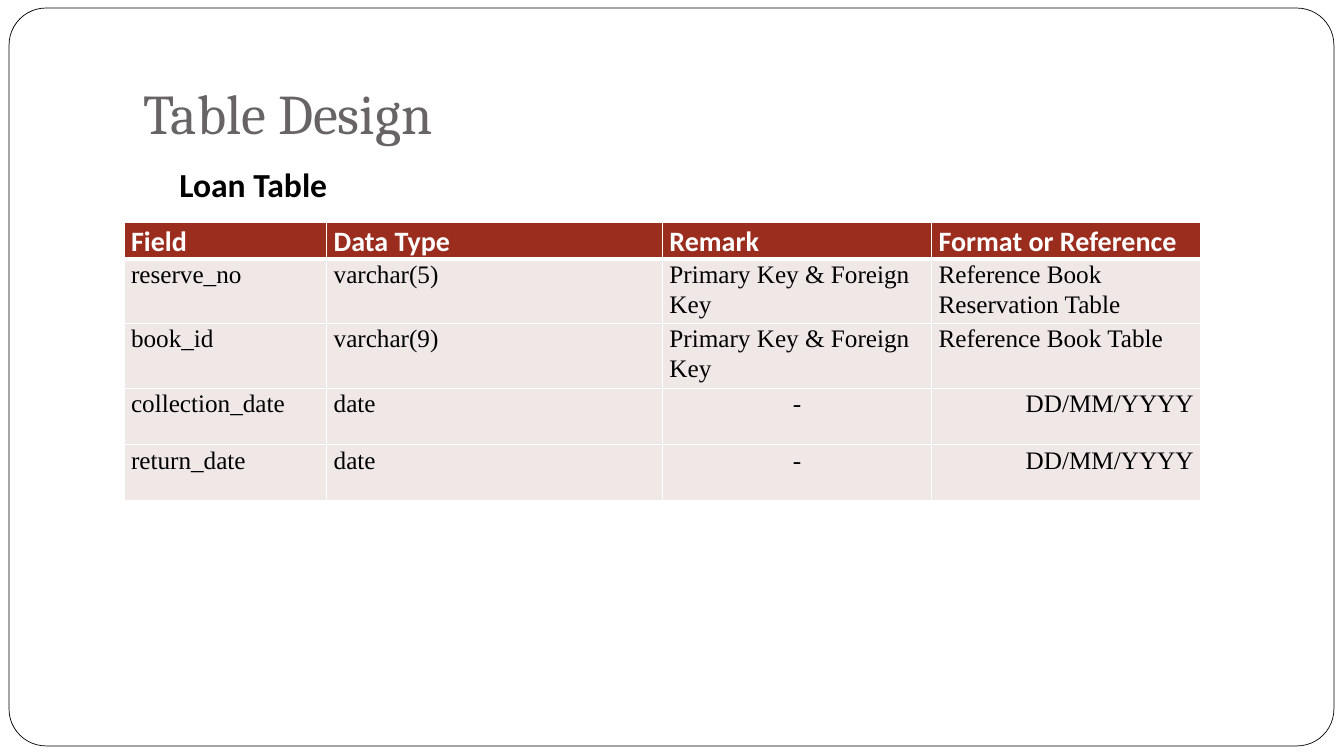
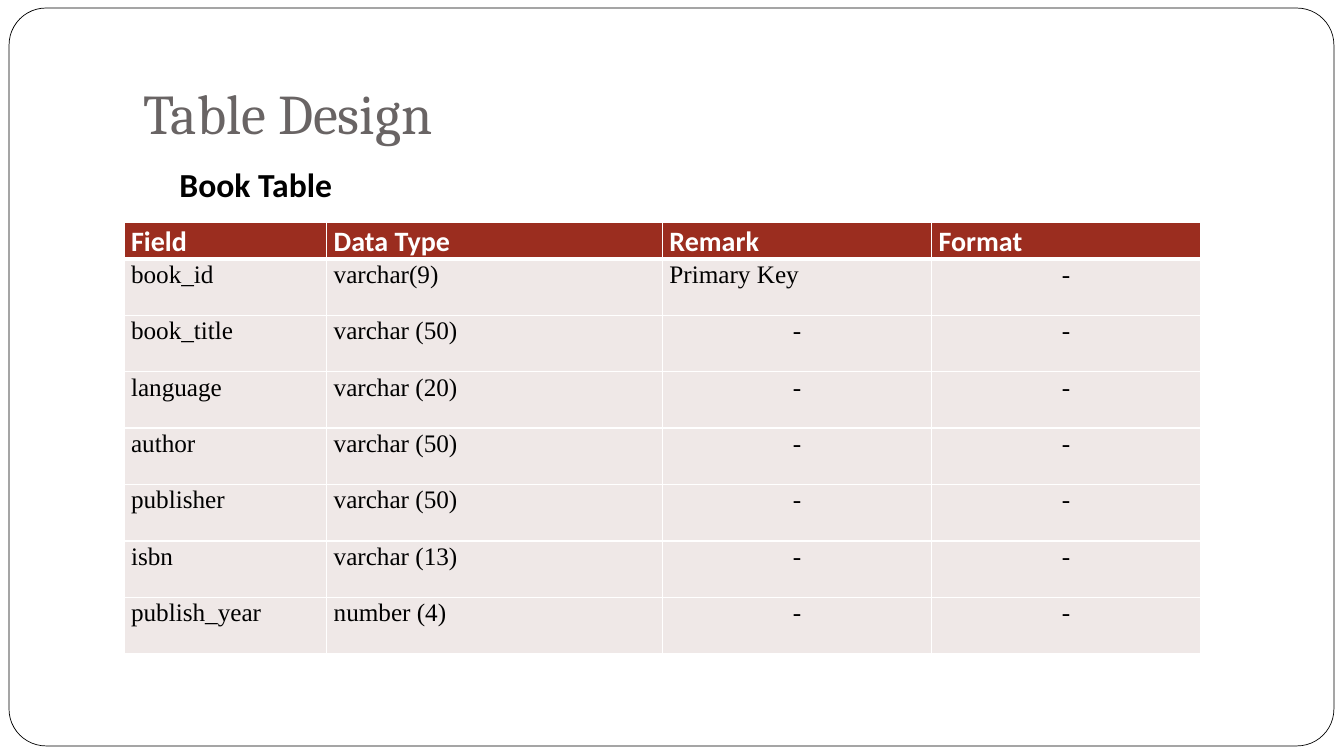
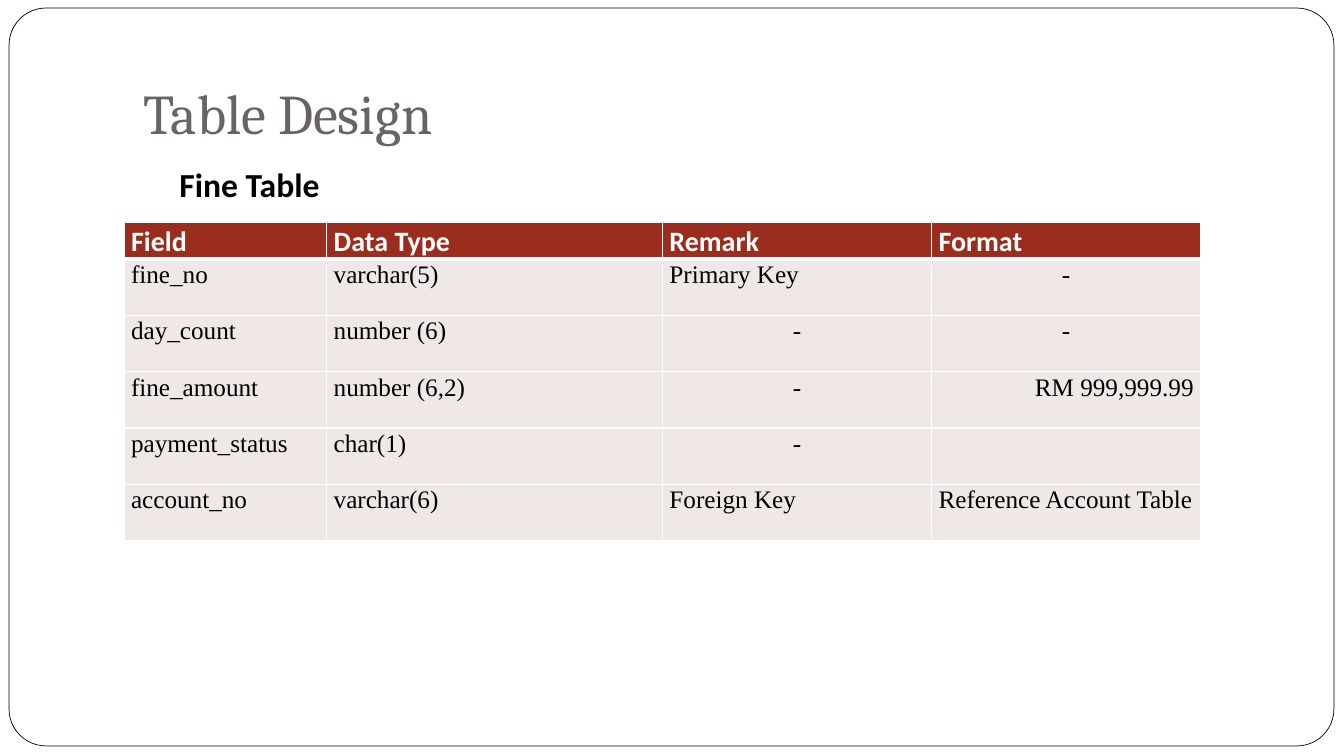
from dataclasses import dataclass

from pptx import Presentation
from pptx.dml.color import RGBColor as RGB
from pptx.enum.shapes import MSO_SHAPE as SHAPE
from pptx.enum.text import MSO_ANCHOR as ANCHOR, PP_ALIGN as ALIGN
from pptx.oxml import parse_xml
from pptx.oxml.ns import nsdecls
from pptx.util import Inches, Pt


@dataclass(frozen=True)
class Theme:
    white: str = "FFFFFF"
    black: str = "000000"
    title: str = "696464"
    header: str = "9B2D1F"
    body: str = "EFE8E7"
    title_font: str = "Cambria"
    label_font: str = "Calibri"
    body_font: str = "Times New Roman"
    title_size: int = 40
    label_size: int = 24
    header_size: int = 20
    body_size: int = 18


T = Theme()


def write(tf, text, font, size, color, bold=False, align=ALIGN.LEFT,
          spacing=1.0, before=0):
    tf.word_wrap = True
    p = tf.paragraphs[0]
    p.alignment = align
    p.line_spacing = spacing
    p.space_before = Pt(before)
    r = p.add_run()
    r.text = text
    r.font.name = font
    r.font.size = Pt(size)
    r.font.bold = bold
    r.font.color.rgb = RGB.from_string(color)


def add_borders(cell, widths):
    tcPr = cell._tc.get_or_add_tcPr()
    for side, width in zip("LRTB", widths):
        tcPr.append(parse_xml(
            f'<a:ln{side} {nsdecls("a")} w="{Pt(width)}"><a:solidFill>'
            f'<a:srgbClr val="{T.white}"/></a:solidFill></a:ln{side}>'))


COL_WIDTHS = [2.01, 3.33, 2.67, 2.67]
HEADER_HEIGHT, ROW_HEIGHT = 0.28, 0.56
HEADINGS = ["Field", "Data Type", "Remark"]
ALIGNMENTS = {"-": ALIGN.CENTER, "DD/MM/YYYY": ALIGN.RIGHT,
              "RM 999,999.99": ALIGN.RIGHT}

TABLES = [
    ("Loan Table", "Format or Reference", [
        ["reserve_no", "varchar(5)", "Primary Key & Foreign Key",
         "Reference Book Reservation Table"],
        ["book_id", "varchar(9)", "Primary Key & Foreign Key",
         "Reference Book Table"],
        ["collection_date", "date", "-", "DD/MM/YYYY"],
        ["return_date", "date", "-", "DD/MM/YYYY"],
    ]),
    ("Book Table", "Format", [
        ["book_id", "varchar(9)", "Primary Key", "-"],
        ["book_title", "varchar (50)", "-", "-"],
        ["language", "varchar (20)", "-", "-"],
        ["author", "varchar (50)", "-", "-"],
        ["publisher", "varchar (50)", "-", "-"],
        ["isbn", "varchar (13)", "-", "-"],
        ["publish_year", "number (4)", "-", "-"],
    ]),
    ("Fine Table", "Format", [
        ["fine_no", "varchar(5)", "Primary Key", "-"],
        ["day_count", "number (6)", "-", "-"],
        ["fine_amount", "number (6,2)", "-", "RM 999,999.99"],
        ["payment_status", "char(1)", "-", ""],
        ["account_no", "varchar(6)", "Foreign Key", "Reference Account Table"],
    ]),
]

prs = Presentation()
prs.slide_width, prs.slide_height = Inches(13.33), Inches(7.5)

for label, last_heading, records in TABLES:
    s = prs.slides.add_slide(prs.slide_layouts[6])

    frame = s.shapes.add_shape(SHAPE.ROUNDED_RECTANGLE, Inches(0.09),
                               Inches(0.08), Inches(13.14), Inches(7.32))
    frame.adjustments[0] = 0.05
    frame.shadow.inherit = False
    frame.fill.solid()
    frame.fill.fore_color.rgb = RGB.from_string(T.white)
    frame.line.color.rgb = RGB.from_string(T.black)
    frame.line.width = Pt(0.5)

    title = s.shapes.add_textbox(Inches(1.33), Inches(0.3),
                                 Inches(11.33), Inches(1.25))
    tf = title.text_frame
    tf.vertical_anchor = ANCHOR.BOTTOM
    tf.margin_bottom = Inches(0.1)
    write(tf, "Table Design", T.title_font, T.title_size, T.title)

    subtitle = s.shapes.add_textbox(Inches(1.33), Inches(1.58),
                                    Inches(11.33), Inches(5))
    tf = subtitle.text_frame
    tf.margin_left = Inches(0.45)
    write(tf, label, T.label_font, T.label_size, T.black, bold=True, before=3.7)

    rows = [HEADINGS + [last_heading]] + records
    height = HEADER_HEIGHT + ROW_HEIGHT * len(records)
    table = s.shapes.add_table(len(rows), len(COL_WIDTHS), Inches(1.23),
                               Inches(2.21), Inches(sum(COL_WIDTHS)),
                               Inches(height)).table
    for col, width in zip(table.columns, COL_WIDTHS):
        col.width = Inches(width)
    for i, row in enumerate(rows):
        is_header = i == 0
        table.rows[i].height = Inches(HEADER_HEIGHT if is_header else ROW_HEIGHT)
        for j, text in enumerate(row):
            cell = table.cell(i, j)
            cell.margin_left = cell.margin_right = Inches(0.07)
            cell.margin_top = cell.margin_bottom = 0
            add_borders(cell, [1, 1, 3 if i == 1 else 1, 3 if is_header else 1])
            cell.fill.solid()
            cell.fill.fore_color.rgb = RGB.from_string(
                T.header if is_header else T.body)
            if is_header:
                write(cell.text_frame, text, T.label_font, T.header_size,
                      T.white, bold=True, spacing=1.07)
            elif text:
                write(cell.text_frame, text, T.body_font, T.body_size, T.black,
                      align=ALIGNMENTS.get(text, ALIGN.LEFT), spacing=1.07)

prs.save("out.pptx")
